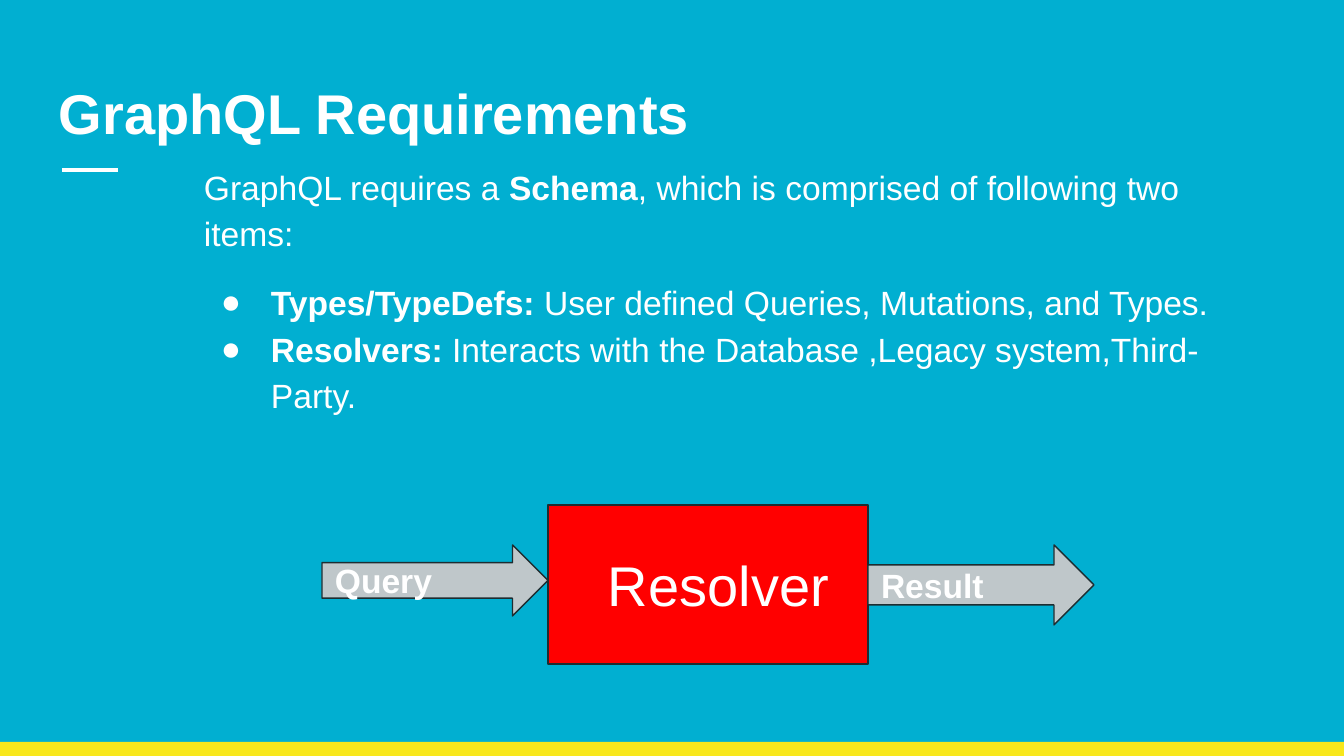
from lxml.etree import SubElement
from pptx import Presentation
from pptx.dml.color import RGBColor
from pptx.enum.shapes import MSO_CONNECTOR, MSO_SHAPE
from pptx.enum.text import MSO_ANCHOR as ANCHOR, PP_ALIGN as ALIGN
from pptx.oxml.ns import qn
from pptx.util import Emu, Pt

WIDTH, HEIGHT = 1344, 756
SCALE = 9144000 / WIDTH
INSET = 13
BLUE = RGBColor(0x01, 0xAF, 0xD1)
YELLOW = RGBColor(0xF8, 0xE7, 0x1C)
WHITE = RGBColor(0xFF, 0xFF, 0xFF)
RED = RGBColor(0xFF, 0x00, 0x00)
GREY = RGBColor(0xBF, 0xC7, 0xCA)
DARK = RGBColor(0x1E, 0x2D, 0x31)


def px(n):
    return Emu(round(n * SCALE))


def write(tf, paragraphs, size, anchor, left=INSET):
    tf.word_wrap = True
    tf.vertical_anchor = anchor
    tf.margin_left = px(left)
    tf.margin_top = tf.margin_right = tf.margin_bottom = px(INSET)
    for i, runs in enumerate(paragraphs):
        p = tf.add_paragraph() if i else tf.paragraphs[0]
        p.alignment = ALIGN.LEFT
        for text, bold in runs:
            r = p.add_run()
            r.text = text
            r.font.name = "Arial"
            r.font.size = Pt(size)
            r.font.bold = bold
            r.font.color.rgb = WHITE


prs = Presentation()
prs.slide_width, prs.slide_height = px(WIDTH), px(HEIGHT)
s = prs.slides.add_slide(prs.slide_layouts[6])
s.background.fill.solid()
s.background.fill.fore_color.rgb = BLUE

bar = s.shapes.add_shape(MSO_SHAPE.RECTANGLE, 0, px(742), px(WIDTH), px(14))
bar.shadow.inherit = False
bar.fill.solid()
bar.fill.fore_color.rgb = YELLOW
bar.line.fill.background()

rule = s.shapes.add_connector(MSO_CONNECTOR.STRAIGHT, px(62), px(170), px(118), px(170))
rule.line.color.rgb = WHITE
rule.line.width = Pt(2.25)
SubElement(rule.element.spPr, qn("a:effectLst"))

title = s.shapes.add_textbox(px(46), px(55), px(1253), px(95))
write(title.text_frame, [[("GraphQL Requirements", True)]], 30, ANCHOR.TOP)
title.text_frame.paragraphs[0].line_spacing = 1.15

body = s.shapes.add_textbox(px(191), px(148), px(1035), px(298))
write(body.text_frame, [
    [("GraphQL requires a ", False), ("Schema", True),
     (", which is comprised of following two items:", False)],
    [("Types/TypeDefs: ", True), ("User defined Queries, Mutations, and Types.", False)],
    [("Resolvers: ", True),
     ("Interacts with the Database ,Legacy system,Third-Party.", False)],
], 18, ANCHOR.TOP)
intro, *items = body.text_frame.paragraphs
intro.line_spacing = 1.15
for p in items:
    p.line_spacing = 1.15
    p.space_before = Pt(0)
    pPr = p._p.get_or_add_pPr()
    pPr.set("marL", str(px(67)))
    pPr.set("indent", str(px(-50)))
    color = SubElement(SubElement(pPr, qn("a:buClr")), qn("a:srgbClr"))
    color.set("val", str(WHITE))
    SubElement(pPr, qn("a:buFont")).set("typeface", "Arial")
    SubElement(pPr, qn("a:buChar")).set("char", "●")
items[0].space_before = Pt(12)

flow = [
    (MSO_SHAPE.RECTANGLE, 548, 505, 320, 159, RED, "Resolver", 30, False, 60),
    (MSO_SHAPE.RIGHT_ARROW, 322, 545, 226, 71, GREY, "Query", 18, True, INSET),
    (MSO_SHAPE.RIGHT_ARROW, 868, 545, 226, 80, GREY, "Result", 18, True, INSET),
]
for kind, x, y, w, h, fill, label, size, bold, left in flow:
    sp = s.shapes.add_shape(kind, px(x), px(y), px(w), px(h))
    sp.shadow.inherit = False
    sp.fill.solid()
    sp.fill.fore_color.rgb = fill
    sp.line.color.rgb = DARK
    sp.line.width = Pt(0.75)
    write(sp.text_frame, [[(label, bold)]], size, ANCHOR.MIDDLE, left)

prs.save("out.pptx")
